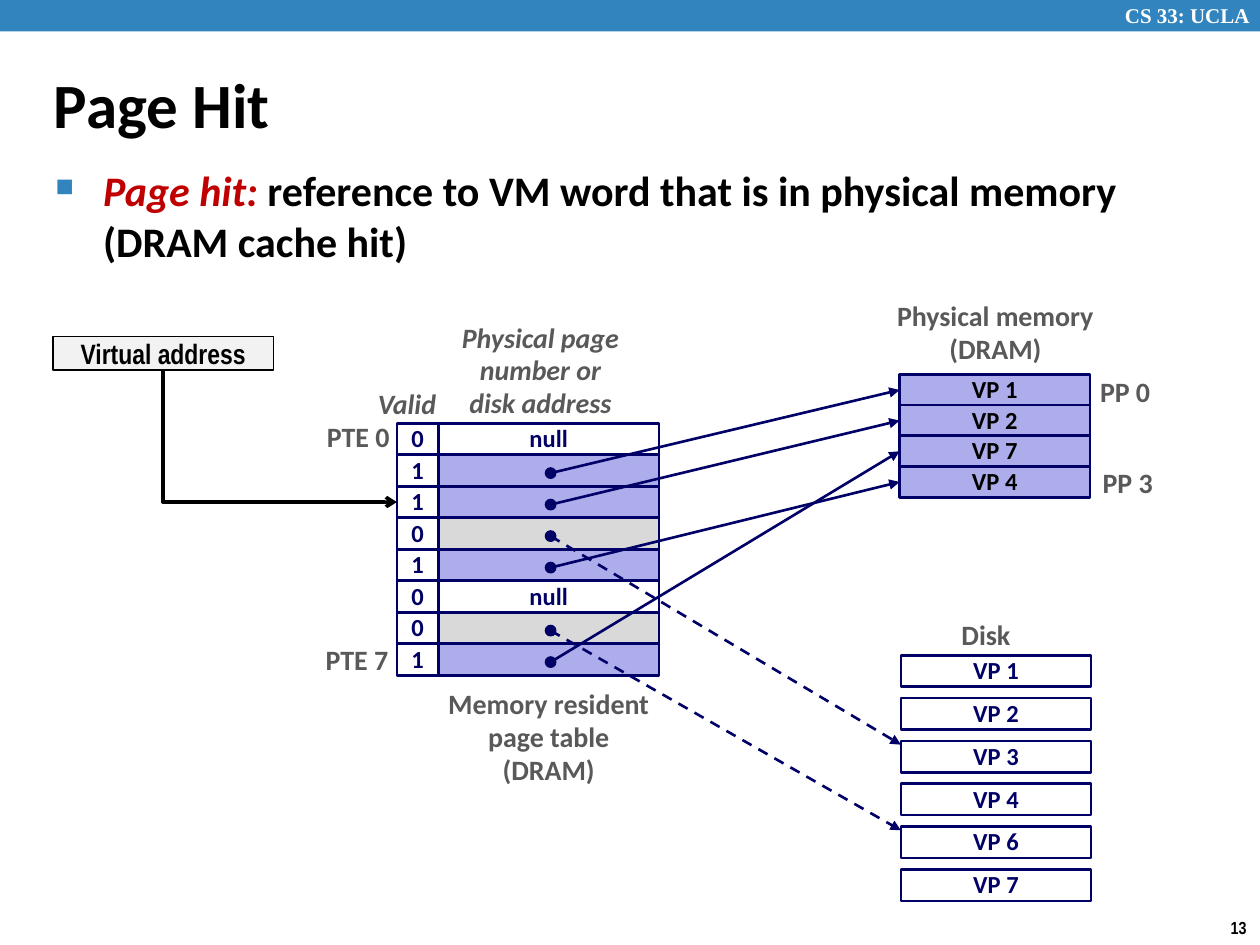
"""Build the Page Hit slide: a page table pointing into memory and disk."""
from lxml.etree import SubElement
from pptx import Presentation
from pptx.dml.color import RGBColor
from pptx.enum.dml import MSO_LINE as Dash
from pptx.enum.shapes import MSO_CONNECTOR as Link, MSO_SHAPE as Preset
from pptx.enum.text import MSO_ANCHOR as Anchor, PP_ALIGN as Align
from pptx.oxml.ns import qn
from pptx.util import Inches, Pt

WIDTH, HEIGHT = 10, 7.5
NAVY, LILAC, GREY, WHITE = "000066", "ADADEB", "D9D9D9", "FFFFFF"
LABEL, BLACK, BLUE, RED = "595959", "000000", "3284BF", "C00000"

ENTRIES = [  # valid bit, text, target store, target page
    (0, "null", None, None),
    (1, "", "memory", "VP 1"),
    (1, "", "memory", "VP 2"),
    (0, "", "disk", "VP 3"),
    (1, "", "memory", "VP 4"),
    (0, "null", None, None),
    (0, "", "disk", "VP 6"),
    (1, "", "memory", "VP 7"),
]
MEMORY_PAGES = ["VP 1", "VP 2", "VP 7", "VP 4"]
DISK_PAGES = ["VP 1", "VP 2", "VP 3", "VP 4", "VP 6", "VP 7"]
LABELS = [
    (["Memory resident", "page table", "(DRAM)"], (3.43, 5.41, 1.85, 0.89), {}),
    (["Physical memory", "(DRAM)"], (7.01, 2.33, 1.78, 0.63), {}),
    (["Physical page", "number or", "disk address"], (3.56, 2.5, 1.46, 0.89), {"italic": True}),
    (["Valid"], (2.9, 3.03, 0.75, 0.37), {"italic": True, "align": Align.LEFT}),
    (["PTE 0"], (2.49, 3.29, 0.7, 0.37), {"align": Align.RIGHT}),
    (["PTE 7"], (2.48, 5.06, 0.7, 0.37), {"align": Align.RIGHT}),
    (["PP 0"], (8.63, 2.93, 0.6, 0.37), {}),
    (["PP 3"], (8.65, 3.65, 0.6, 0.37), {}),
    (["Disk"], (7.53, 4.86, 0.59, 0.37), {}),
]

ROW = HEIGHT / 30
TABLE_TOP, VALID_LEFT, VALID_WIDTH, ENTRY_WIDTH = 3.36, 3.15, 0.33, 1.75
ENTRY_LEFT = VALID_LEFT + VALID_WIDTH
PAGE_LEFT, PAGE_WIDTH = 7.14, 1.51
MEMORY_TOP, MEMORY_STEP = 2.97, 0.73 / 3
DISK_TOP, DISK_STEP = 5.2, 0.34
DOT, DOT_X, DOT_DROP = 0.08, 4.37, 0.02

deck = Presentation()
deck.slide_width, deck.slide_height = Inches(WIDTH), Inches(HEIGHT)
slide = deck.slides.add_slide(deck.slide_layouts[6])


def color(hex_text):
    return RGBColor.from_string(hex_text)


def place(*lengths):
    return [Inches(length) for length in lengths]


def write(shape, lines, size=14, font="Calibri", ink=BLACK, italic=False,
          align=Align.CENTER, anchor=Anchor.MIDDLE, spacing=0.98, wrap=False):
    """Fill a shape with one paragraph per line; a line is a text or a list of (text, format) spans."""
    frame = shape.text_frame
    frame.word_wrap, frame.vertical_anchor = wrap, anchor
    for index, line in enumerate(lines):
        para = frame.paragraphs[0] if index == 0 else frame.add_paragraph()
        para.alignment, para.line_spacing = align, spacing
        for text, change in [(line, {})] if isinstance(line, str) else line:
            span = para.add_run()
            span.text = text
            span.font.size, span.font.name, span.font.bold = Pt(size), font, True
            span.font.italic = change.get("italic", italic)
            span.font.color.rgb = color(change.get("ink", ink))
    return shape


def text_box(lines, spot, **style):
    return write(slide.shapes.add_textbox(*place(*spot)), lines, **style)


def block(spot, fill=None, line=NAVY, weight=1.5, preset=Preset.RECTANGLE, text="", **style):
    box = slide.shapes.add_shape(preset, *place(*spot))
    box.shadow.inherit = False
    if fill:
        box.fill.solid()
        box.fill.fore_color.rgb = color(fill)
    else:
        box.fill.background()
    if line:
        box.line.color.rgb, box.line.width = color(line), Pt(weight)
    else:
        box.line.fill.background()
    return write(box, [text], **style) if text else box


def arrow(kind, start, end, ink=NAVY, weight=1.5, dashed=False, head="triangle"):
    link = slide.shapes.add_connector(kind, *place(*start, *end))
    link.line.color.rgb, link.line.width = color(ink), Pt(weight)
    if dashed:
        link.line.dash_style = Dash.DASH
    SubElement(link.get_or_add_ln(), qn("a:tailEnd"), type=head)
    SubElement(link.element.spPr, qn("a:effectLst"))
    return link


def indent(box, hanging):
    props = box.text_frame.paragraphs[0]._p.get_or_add_pPr()
    props.set("marL", str(Inches(hanging)))
    props.set("indent", str(-Inches(hanging)))
    return props


def draw_frame():
    block((0, 0, WIDTH, ROW), BLUE, None)
    text_box(["CS 33: UCLA"], (8.83, -0.03, 1.24, 0.3), size=12, font="Times New Roman",
             ink=WHITE, align=Align.LEFT, anchor=Anchor.TOP, spacing=1, wrap=True)
    text_box(["13"], (9.66, 7.23, 0.34, 0.27), size=10, font="Arial Narrow", spacing=1)
    title = text_box(["Page Hit"], (0.33, 0.39, 9.06, 0.86), size=36,
                     align=Align.LEFT, spacing=1, wrap=True)
    indent(title, 0.13)
    definition = [("Page hit: ", {"ink": RED, "italic": True}),
                  ("reference to VM word that is in physical memory (DRAM cache hit)", {})]
    body = text_box([definition], (0.34, 1.26, 9.09, 0.66), size=24, align=Align.LEFT,
                    anchor=Anchor.TOP, spacing=1, wrap=True)
    props = indent(body, 0.38)
    SubElement(SubElement(props, qn("a:buClr")), qn("a:srgbClr"), val=BLUE)
    SubElement(props, qn("a:buSzPct"), val="60000")
    SubElement(props, qn("a:buChar"), char="■")


def draw_pages(names, left, top, step, **style):
    return {name: block((left, top + index * step, PAGE_WIDTH, ROW), text=name, **style)
            for index, name in enumerate(names)}


def draw_table(stores):
    """Draw the entries with their pointers and return the valid cells."""
    cells, pointers = [], []
    for index, (valid, text, store, target) in enumerate(ENTRIES):
        top = TABLE_TOP + index * ROW
        fill = {"memory": LILAC, "disk": GREY}.get(store, WHITE)
        block((ENTRY_LEFT, top, ENTRY_WIDTH, ROW), fill, text=text, ink=NAVY)
        cells.append(block((VALID_LEFT, top, VALID_WIDTH, ROW), text=str(valid), ink=NAVY))
        if store:
            pointers.append((top + ROW / 2 + DOT_DROP, store, stores[store][target]))
    for middle, store, page in pointers:
        block((DOT_X - DOT / 2, middle - DOT / 2, DOT, DOT), NAVY, weight=1, preset=Preset.OVAL)
        corner = (page.left.inches, page.top.inches + 0.03)
        link = arrow(Link.STRAIGHT, (DOT_X, middle), corner, dashed=store == "disk")
        if store == "memory":
            link.end_connect(page, 1)
    return cells


def draw_address(cell):
    box = block((0.42, 2.67, 1.75, 0.27), "F2F2F2", BLACK, 1, text="Virtual address",
                size=16, font="Arial Narrow", spacing=1, wrap=True)
    start_x, start_y = box.left + box.width // 2, box.top + box.height
    across, down = cell.left - start_x, cell.top + cell.height // 2 - start_y
    link = arrow(Link.ELBOW, (0, 0), (1, 1), BLACK, 2, head="arrow")
    link.begin_connect(box, 2)
    link.end_connect(cell, 1)
    link.left, link.top = start_x + (across - down) // 2, start_y + (down - across) // 2
    link.width, link.height = down, across
    shape_props = link.element.spPr
    shape_props.find(qn("a:prstGeom")).set("prst", "bentConnector2")
    turn = shape_props.find(qn("a:xfrm"))
    turn.set("rot", "16200000")
    turn.set("flipH", "1")


def main():
    draw_frame()
    stores = {
        "memory": draw_pages(MEMORY_PAGES, PAGE_LEFT, MEMORY_TOP, MEMORY_STEP, fill=LILAC),
        "disk": draw_pages(DISK_PAGES, PAGE_LEFT + 0.01, DISK_TOP, DISK_STEP, fill=WHITE, ink=NAVY),
    }
    cells = draw_table(stores)
    draw_address(cells[2])
    for lines, spot, style in LABELS:
        text_box(lines, spot, size=16, ink=LABEL, **style)
    deck.save("out.pptx")


if __name__ == "__main__":
    main()
